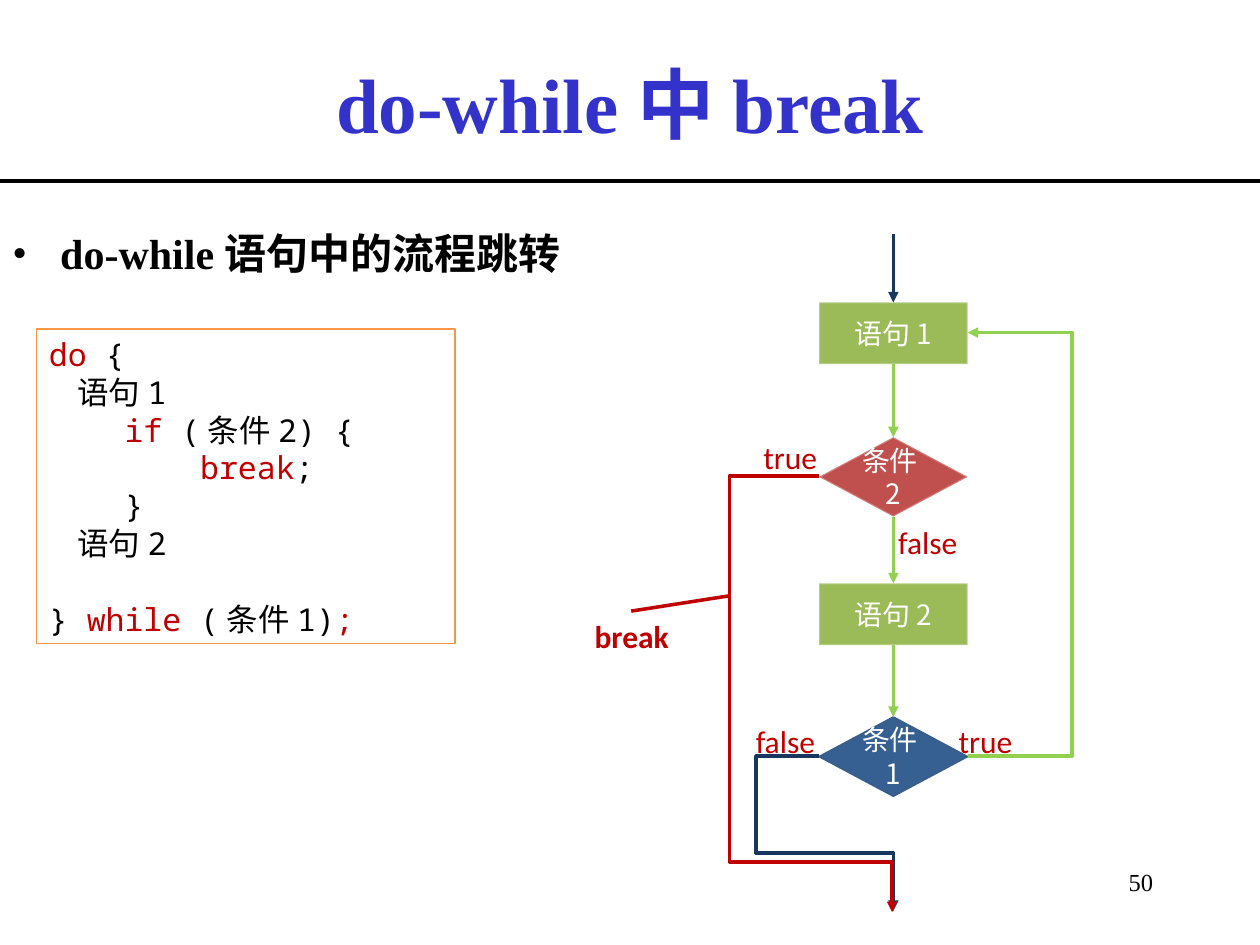
from dataclasses import dataclass

from lxml import etree
from pptx import Presentation
from pptx import util as u
from pptx.dml.color import RGBColor
from pptx.enum import shapes, text
from pptx.oxml.ns import qn


@dataclass(frozen=True)
class Theme:
    """Colours, fonts and type sizes."""
    black: str = "000000"
    white: str = "FFFFFF"
    title: str = "3333CC"
    red: str = "C00000"
    navy: str = "17375E"
    lime: str = "92D050"
    green: str = "9BBB59"
    brick: str = "C0504D"
    blue: str = "376092"
    blue_edge: str = "385D8A"
    orange: str = "F79646"
    serif: str = "Times New Roman"
    sans: str = "Calibri"
    mono: str = "Noto Sans Mono"
    cjk: str = "Noto Sans CJK SC"
    title_size: int = 44
    lead_size: int = 24
    body_size: int = 18
    node_size: int = 16
    number_size: int = 14


T = Theme()
COLS, ROWS = 100, 75
AXIS, NODE_W = 70.9, 11.8
CODE = ["*do *{", "    语句1", "    *if* (条件2) {", "        *break*;",
        "    }", "    语句2", "", "} *while* (条件1)*;*"]


def g(n):
    """Convert grid columns or rows, ten to the inch, to a length."""
    return u.Inches(n / 10)


def style(r, font, size, color, bold=False):
    """Format a run."""
    r.font.name, r.font.size, r.font.bold = font, u.Pt(size), bold
    r.font.color.rgb = RGBColor.from_string(color)


def stroke(sp, color, width, arrow=False):
    """Set an outline, with an optional arrowhead at its end."""
    sp.line.color.rgb = RGBColor.from_string(color)
    sp.line.width = u.Pt(width)
    if arrow:
        ln = sp._element.spPr.find(qn("a:ln"))
        etree.SubElement(ln, qn("a:tailEnd"), type="triangle")


def add_text(s, box, words, font, size, color, bold=False,
             align=text.PP_ALIGN.LEFT):
    """Add a one-paragraph text box and return it."""
    sp = s.shapes.add_textbox(*map(g, box))
    tf = sp.text_frame
    tf.word_wrap = True
    tf.text = words
    tf.paragraphs[0].alignment = align
    style(tf.paragraphs[0].runs[0], font, size, color, bold)
    return sp


def add_label(s, x, y, w, words, bold=False):
    """Add a red branch label that stays on one line."""
    sp = add_text(s, (x, y, w, 4), words, T.sans, T.body_size, T.red, bold)
    sp.text_frame.margin_right = 0
    sp.text_frame.word_wrap = False


def add_bullet(s, box, words):
    """Add a bulleted heading."""
    sp = add_text(s, box, words, T.serif, T.lead_size, T.black, True)
    pr = sp.text_frame.paragraphs[0]._p.get_or_add_pPr()
    pr.set("marL", str(g(3.8)))
    pr.set("indent", str(g(-3.8)))
    etree.SubElement(pr, qn("a:buFont"), typeface=T.serif)
    etree.SubElement(pr, qn("a:buChar"), char="•")


def add_shape(s, kind, box, fill, edge, width):
    """Add a flat preset shape."""
    sp = s.shapes.add_shape(kind, *map(g, box))
    sp.shadow.inherit = False
    sp.fill.solid()
    sp.fill.fore_color.rgb = RGBColor.from_string(fill)
    stroke(sp, edge, width)
    return sp


def add_code(s, box, lines):
    """Add a code box in which asterisks enclose keywords."""
    sp = add_shape(s, shapes.MSO_SHAPE.RECTANGLE, box, T.white, T.orange, 0.85)
    tf = sp.text_frame
    tf.word_wrap = True
    tf.vertical_anchor = text.MSO_ANCHOR.TOP
    for i, line in enumerate(lines):
        p = tf.add_paragraph() if i else tf.paragraphs[0]
        p.alignment = text.PP_ALIGN.LEFT
        for j, part in enumerate(line.split("*")):
            if part:
                r = p.add_run()
                r.text = part
                style(r, T.mono, T.body_size, T.red if j % 2 else T.black)


def add_node(s, kind, y, h, words, fill, edge=None):
    """Add a flowchart node centred on the axis."""
    box = (AXIS - NODE_W / 2, y, NODE_W, h)
    sp = add_shape(s, kind, box, fill, edge or T.white, 0.85 if edge else 1.19)
    if not edge:
        clr = sp._element.spPr.find(qn("a:ln")).find(".//" + qn("a:srgbClr"))
        etree.SubElement(clr, qn("a:alpha"), val="25000")
    tf = sp.text_frame
    tf.margin_left = tf.margin_right = tf.margin_top = tf.margin_bottom = 0
    tf.vertical_anchor = text.MSO_ANCHOR.MIDDLE
    tf.word_wrap = True
    tf.text = words
    tf.paragraphs[0].alignment = text.PP_ALIGN.CENTER
    style(tf.paragraphs[0].runs[0], T.cjk, T.node_size, T.white)
    return sp


def add_line(s, ends, color, width=2, arrow=False, start=None, stop=None):
    """Add a straight connector, joined to any nodes given."""
    sp = s.shapes.add_connector(shapes.MSO_CONNECTOR.STRAIGHT, *map(g, ends))
    if start is not None:
        sp.begin_connect(start, 2)
    if stop is not None:
        sp.end_connect(stop, 0)
    stroke(sp, color, width, arrow)
    etree.SubElement(sp._element.spPr, qn("a:effectLst"))


def add_route(s, points, color):
    """Add a right-angled arrow through the points."""
    pts = [(g(x), g(y)) for x, y in points]
    fb = s.shapes.build_freeform(*pts[0])
    fb.add_line_segments(pts[1:], close=False)
    sp = fb.convert_to_shape()
    sp.shadow.inherit = False
    sp.fill.background()
    stroke(sp, color, 2, True)


def add_flowchart(s):
    """Add the nodes, arrows and labels of the loop."""
    rect, diamond = shapes.MSO_SHAPE.RECTANGLE, shapes.MSO_SHAPE.DIAMOND
    left, right = AXIS - NODE_W / 2, AXIS + NODE_W / 2
    nodes = [add_node(s, rect, 24, 4.9, "语句1", T.green),
             add_node(s, diamond, 34.7, 6.3, "条件2", T.brick),
             add_node(s, rect, 46.3, 4.9, "语句2", T.green),
             add_node(s, diamond, 56.9, 6.3, "条件1", T.blue, T.blue_edge)]
    add_line(s, (AXIS, 18.6, AXIS, 24), T.navy, arrow=True, stop=nodes[0])
    for a, b in zip(nodes, nodes[1:]):
        add_line(s, (AXIS, 0, AXIS, 1), T.lime, arrow=True, start=a, stop=b)
    add_route(s, [(right, 60), (85.1, 60), (85.1, 26.4), (right, 26.4)], T.lime)
    for x, y, turn, end_x, end, color in (
            (60, 60, 67.7, AXIS, 72.3, T.navy),
            (57.9, 37.8, 68.4, AXIS - 0.1, 72.4, T.red)):
        add_route(s, [(left, y), (x, y), (x, turn), (end_x, turn), (end_x, end)],
                  color)
    for x, y, w, words in ((59, 56.8, 6.7, "false"), (75.1, 56.8, 6.2, "true"),
                           (70.3, 41, 6.7, "false"), (59.6, 34.3, 6.2, "true")):
        add_label(s, x, y, w, words)
    add_label(s, 46.2, 48.5, 7.9, "break", True)
    add_line(s, (50.1, 48.5, 57.8, 47.3), T.red)


def main():
    """Build the slide and save it."""
    prs = Presentation()
    prs.slide_width, prs.slide_height = g(COLS), g(ROWS)
    s = prs.slides.add_slide(prs.slide_layouts[6])
    add_text(s, (81.7, 68.3, 10.8, 5), "50", T.serif, T.number_size, T.black,
             align=text.PP_ALIGN.RIGHT)
    title = add_text(s, (0, 1.9, COLS, 12.5), "do-while中break", T.serif,
                     T.title_size, T.title, True, text.PP_ALIGN.CENTER)
    title.text_frame.vertical_anchor = text.MSO_ANCHOR.MIDDLE
    add_bullet(s, (0, 17.6, COLS, 45), "do-while语句中的流程跳转")
    add_line(s, (0, 14.4, COLS, 14.4), T.black, 2.25)
    add_code(s, (2.9, 26.1, 33.2, 25), CODE)
    add_flowchart(s)
    prs.save("out.pptx")


if __name__ == "__main__":
    main()
